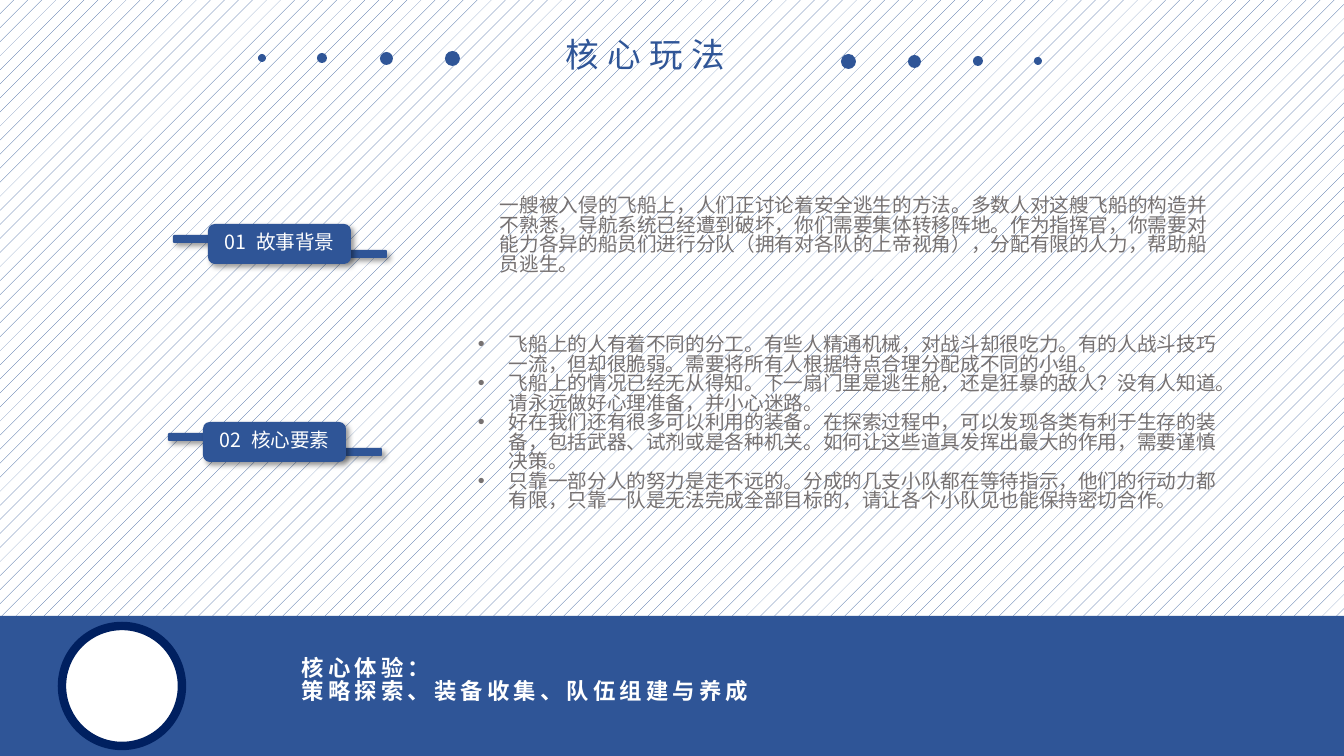
from dataclasses import dataclass

from lxml.etree import SubElement
from pptx import Presentation
from pptx.dml.color import RGBColor
from pptx.enum.dml import MSO_PATTERN
from pptx.enum.shapes import MSO_SHAPE
from pptx.enum.text import MSO_ANCHOR, PP_ALIGN
from pptx.oxml.ns import qn
from pptx.util import Emu, Pt

EMU_PER_PIXEL = 12192000 / 1344
BLUE, NAVY, WHITE, GRAY = "2F5597", "002060", "FFFFFF", "767171"
SANS = "Noto Sans CJK SC"
TITLE_SANS = "Noto Sans CJK JP"
LINE_SPACING = 0.83


@dataclass(frozen=True)
class Box:
    left: int
    top: int
    width: int
    height: int

    def emu(self) -> tuple:
        return tuple(pixels(value) for value in (self.left, self.top, self.width, self.height))

    def moved(self, across: int, down: int) -> "Box":
        return Box(self.left + across, self.top + down, self.width, self.height)


@dataclass(frozen=True)
class Style:
    size: int
    color: str
    font: str = SANS
    bold: bool = False
    spacing: int = 0


@dataclass(frozen=True)
class Dot:
    center: int
    size: int


@dataclass(frozen=True)
class Badge:
    number: str
    label: str
    across: int
    down: int


def pixels(value: int) -> Emu:
    return Emu(round(value * EMU_PER_PIXEL))


def color(value: str) -> RGBColor:
    return RGBColor.from_string(value)


def add_run(paragraph, text: str, style: Style) -> None:
    run = paragraph.add_run()
    run.text = text
    run.font.size = Pt(style.size)
    run.font.bold = style.bold
    run.font.color.rgb = color(style.color)
    run.font.name = style.font
    properties = run.font._element
    SubElement(properties, qn("a:ea")).set("typeface", style.font)
    if style.spacing:
        properties.set("spc", str(style.spacing * 100))


def add_bullet(paragraph, indent: int) -> None:
    properties = paragraph._p.get_or_add_pPr()
    properties.set("marL", str(pixels(indent)))
    properties.set("indent", str(-pixels(indent)))
    SubElement(properties, qn("a:buFont")).set("typeface", "Arial")
    SubElement(properties, qn("a:buChar")).set("char", "•")


def write_lines(frame, lines: list, style: Style, indent: int = 0) -> None:
    frame.vertical_anchor = MSO_ANCHOR.TOP
    for index, line in enumerate(lines):
        paragraph = frame.add_paragraph() if index else frame.paragraphs[0]
        paragraph.alignment = PP_ALIGN.LEFT
        paragraph.line_spacing = LINE_SPACING
        if indent:
            add_bullet(paragraph, indent)
        add_run(paragraph, line, style)


def add_text(slide, box: Box, lines: list, style: Style, indent: int = 0, wrap: bool = True) -> None:
    frame = slide.shapes.add_textbox(*box.emu()).text_frame
    frame.word_wrap = wrap
    write_lines(frame, lines, style, indent)


def add_filled(slide, kind: MSO_SHAPE, box: Box, fill: str):
    shape = slide.shapes.add_shape(kind, *box.emu())
    shape.shadow.inherit = False
    shape.fill.solid()
    shape.fill.fore_color.rgb = color(fill)
    shape.line.fill.background()
    return shape


def add_shadow(shape) -> None:
    effects = shape._element.spPr.find(qn("a:effectLst"))
    shadow = SubElement(effects, qn("a:outerShdw"), blurRad=str(Pt(4)), dist=str(Pt(3)),
                        dir="2700000", algn="tl", rotWithShape="0")
    shade = SubElement(shadow, qn("a:srgbClr"), val="000000")
    SubElement(shade, qn("a:alpha"), val="40000")


def add_badge(slide, badge: Badge) -> None:
    for part in (RIGHT_TAB, LEFT_TAB, PLATE):
        shape = add_filled(slide, MSO_SHAPE.ROUNDED_RECTANGLE, part.moved(badge.across, badge.down), BLUE)
        add_shadow(shape)
    frame = shape.text_frame
    frame.vertical_anchor = MSO_ANCHOR.MIDDLE
    paragraph = frame.paragraphs[0]
    paragraph.alignment = PP_ALIGN.CENTER
    paragraph.line_spacing = LINE_SPACING
    add_run(paragraph, badge.number, Style(14, WHITE))
    add_run(paragraph, " ", Style(14, WHITE, spacing=4))
    add_run(paragraph, badge.label, Style(14, WHITE))


def add_dot(slide, center: int, middle: int, size: int) -> None:
    box = Box(center - size // 2, middle - size // 2, size, size)
    add_filled(slide, MSO_SHAPE.OVAL, box, BLUE)


RIGHT_TAB = Box(299, 250, 88, 8)
LEFT_TAB = Box(173, 235, 88, 8)
PLATE = Box(208, 224, 143, 40)
BADGES = [Badge("01", "故事背景", 0, 0), Badge("02", "核心要素", -5, 198)]
DOTS = [Dot(262, 8), Dot(322, 10), Dot(386, 13), Dot(452, 15)]
DOT_MIRROR = 1300
STORY = [
    "一艘被入侵的飞船上，人们正讨论着安全逃生的方法。多数人对这艘飞船的构造并不熟悉，"
    "导航系统已经遭到破坏，你们需要集体转移阵地。作为指挥官，你需要对能力各异的船员们进行分队"
    "（拥有对各队的上帝视角），分配有限的人力，帮助船员逃生。",
]
ELEMENTS = [
    "飞船上的人有着不同的分工。有些人精通机械，对战斗却很吃力。有的人战斗技巧一流，"
    "但却很脆弱。需要将所有人根据特点合理分配成不同的小组。",
    "飞船上的情况已经无从得知。下一扇门里是逃生舱，还是狂暴的敌人？没有人知道。"
    "请永远做好心理准备，并小心迷路。",
    "好在我们还有很多可以利用的装备。在探索过程中，可以发现各类有利于生存的装备，"
    "包括武器、试剂或是各种机关。如何让这些道具发挥出最大的作用，需要谨慎决策。",
    "只靠一部分人的努力是走不远的。分成的几支小队都在等待指示，他们的行动力都有限，"
    "只靠一队是无法完成全部目标的，请让各个小队见也能保持密切合作。",
]
EXPERIENCE = ["核心体验：", "策略探索、装备收集、队伍组建与养成"]

presentation = Presentation()
presentation.slide_width = pixels(1344)
presentation.slide_height = pixels(756)
slide = presentation.slides.add_slide(presentation.slide_layouts[5])

background = slide.background.fill
background.patterned()
background.pattern = MSO_PATTERN.PERCENT_5
background.fore_color.rgb = color(BLUE)
background.back_color.rgb = color(WHITE)

title = slide.shapes.title
title.left, title.top, title.width, title.height = Box(555, 36, 188, 50).emu()
title.text_frame.word_wrap = False
write_lines(title.text_frame, ["核心玩法"], Style(24, BLUE, TITLE_SANS, spacing=6))

for dot in DOTS:
    add_dot(slide, dot.center, 58, dot.size)
    add_dot(slide, DOT_MIRROR - dot.center, 61, dot.size)

add_filled(slide, MSO_SHAPE.RECTANGLE, Box(0, 616, 1344, 140), BLUE)
medallion = add_filled(slide, MSO_SHAPE.OVAL, Box(62, 626, 120, 120), WHITE)
medallion.line.color.rgb = color(NAVY)
medallion.line.width = Pt(6)

for badge in BADGES:
    add_badge(slide, badge)

add_text(slide, Box(490, 192, 743, 105), STORY, Style(14, GRAY))
add_text(slide, Box(468, 331, 764, 224), ELEMENTS, Style(14, GRAY), indent=31)
add_text(slide, Box(292, 654, 473, 92), EXPERIENCE, Style(16, WHITE, bold=True, spacing=3), wrap=False)

presentation.save("out.pptx")
